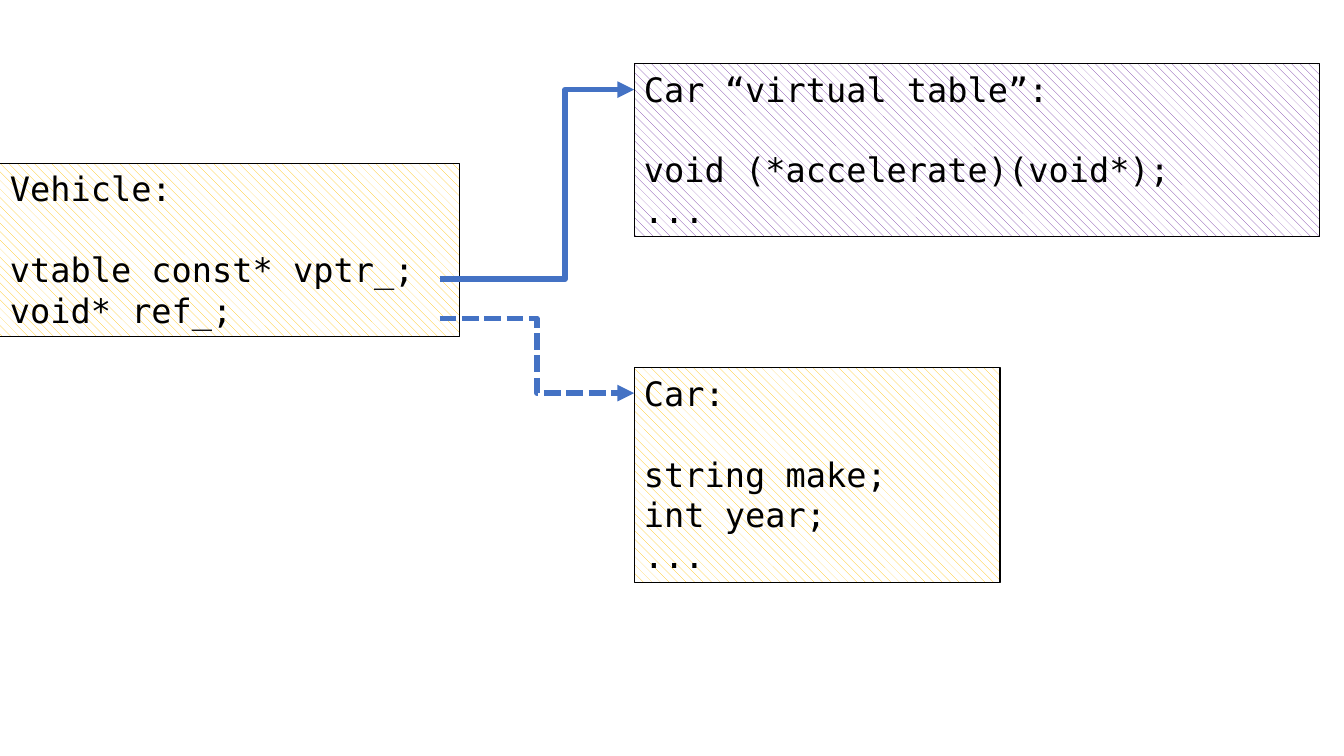
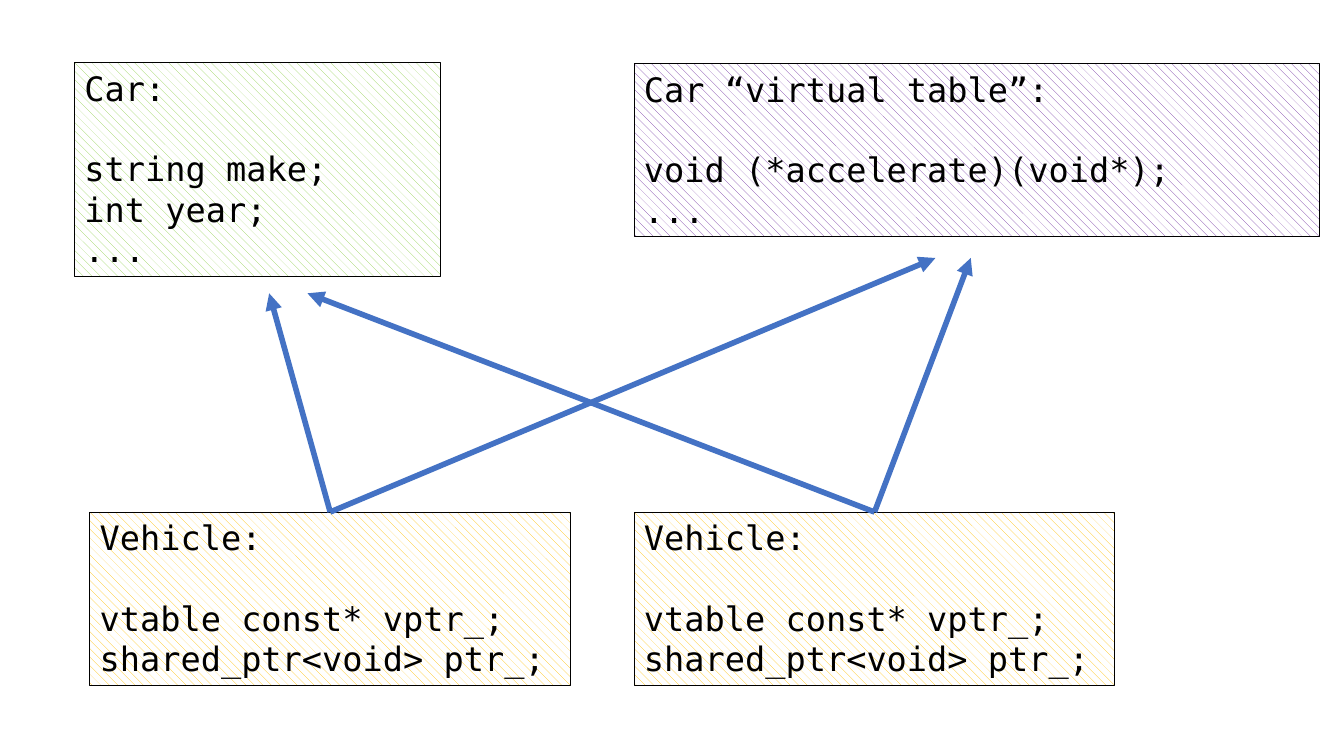
"""Build two slides on type erasure with virtual tables."""
import pptx
import pptx.dml.color
import pptx.enum.dml
import pptx.enum.shapes
import pptx.enum.text
import pptx.oxml
import pptx.oxml.ns
import pptx.util

COLORS = {
    "text": "000000", "paper": "FFFFFF", "arrow": "4472C4",
    "table": "7030A0", "object": "FFC000", "shared": "92D050",
}
TABLE = ["Car “virtual table”:", "void (*accelerate)(void*);", "..."]
CAR = ["Car:", "string make;", "int year;", "..."]
SHARED_VEHICLE = ["Vehicle:", "vtable const* vptr_;", "shared_ptr<void> ptr_;"]
RIGHT_COLUMN = 47.18
TABLE_WIDTH, CAR_WIDTH, VEHICLE_WIDTH = 51, 27.23, 35.78


class Diagram:
    """Style and current slide; lengths are percentages of the slide size."""

    font, size, line_pitch = "DejaVu Sans Mono", 24, 29
    row_height, padding = 5.4, 1.33

    def __init__(self):
        self.deck = pptx.Presentation()
        self.deck.slide_width = pptx.util.Inches(13.33)
        self.deck.slide_height = pptx.util.Inches(7.5)
        self.page = None

    def add_page(self):
        self.page = self.deck.slides.add_slide(self.deck.slide_layouts[6])

    def x(self, share):
        return round(self.deck.slide_width * share / 100)

    def y(self, share):
        return round(self.deck.slide_height * share / 100)

    def color(self, name):
        return pptx.dml.color.RGBColor.from_string(COLORS[name])

    def code_box(self, left, top, width, lines, tint):
        height = self.padding + self.row_height * (len(lines) + 1)
        box = self.page.shapes.add_textbox(
            self.x(left), self.y(top), self.x(width), self.y(height))
        box.fill.patterned()
        box.fill.pattern = pptx.enum.dml.MSO_PATTERN.DASHED_DOWNWARD_DIAGONAL
        box.fill.fore_color.rgb = self.color(tint)
        box.fill.back_color.rgb = self.color("paper")
        box.line.color.rgb = self.color("text")
        box.line.width = pptx.util.Pt(0.75)
        frame = box.text_frame
        frame.word_wrap = True
        frame.vertical_anchor = pptx.enum.text.MSO_ANCHOR.TOP
        for index, line in enumerate(lines):
            para = frame.add_paragraph() if index else frame.paragraphs[0]
            if index == 1:
                para.space_before = pptx.util.Pt(self.line_pitch)
            span = para.add_run()
            span.text = line
            span.font.name = self.font
            span.font.size = pptx.util.Pt(self.size)
            span.font.color.rgb = self.color("text")
        return box

    def arrow(self, start, end, bend=None, dashed=False):
        kinds = pptx.enum.shapes.MSO_CONNECTOR
        link = self.page.shapes.add_connector(
            kinds.ELBOW if bend else kinds.STRAIGHT,
            self.x(start[0]), self.y(start[1]), self.x(end[0]), self.y(end[1]))
        link.line.color.rgb = self.color("arrow")
        link.line.width = pptx.util.Pt(4)
        if dashed:
            link.line.dash_style = pptx.enum.dml.MSO_LINE.SQUARE_DOT
        properties = link._element.spPr
        self.add_xml(properties.ln, "tailEnd", type="triangle")
        self.add_xml(properties, "effectLst")
        if bend:
            guides = properties.prstGeom.get_or_add_avLst()
            self.add_xml(guides, "gd", name="adj1", fmla=f"val {round(bend * 100000)}")
        return link

    def add_xml(self, parent, tag, **attributes):
        child = pptx.oxml.parse_xml(f"<a:{tag} {pptx.oxml.ns.nsdecls('a')}/>")
        for name, value in attributes.items():
            child.set(name, value)
        parent.append(child)

    def virtual_table(self):
        return self.code_box(RIGHT_COLUMN, 8.4, TABLE_WIDTH, TABLE, "table")


diagram = Diagram()

diagram.add_page()
diagram.virtual_table()
diagram.code_box(0, 21.6, 34.2,
                 ["Vehicle:", "vtable const* vptr_;", "void* ref_;"], "object")
diagram.arrow((32.7, 36.93), (RIGHT_COLUMN, 11.87), bend=0.645)
diagram.code_box(RIGHT_COLUMN, 48.67, CAR_WIDTH, CAR, "object")
diagram.arrow((32.7, 42.13), (RIGHT_COLUMN, 52), bend=0.5, dashed=True)

diagram.add_page()
diagram.virtual_table()
diagram.code_box(5.55, 8.27, CAR_WIDTH, CAR, "shared")
vehicle_top = 67.73
for vehicle_left, car_tip, table_tip in ((6.68, 20.03, 69.6),
                                         (RIGHT_COLUMN, 22.88, 72.23)):
    diagram.code_box(vehicle_left, vehicle_top, VEHICLE_WIDTH, SHARED_VEHICLE, "object")
    origin = (vehicle_left + VEHICLE_WIDTH / 2, vehicle_top)
    diagram.arrow(origin, (car_tip, 38.8))
    diagram.arrow(origin, (table_tip, 34.13))

diagram.deck.save("out.pptx")
